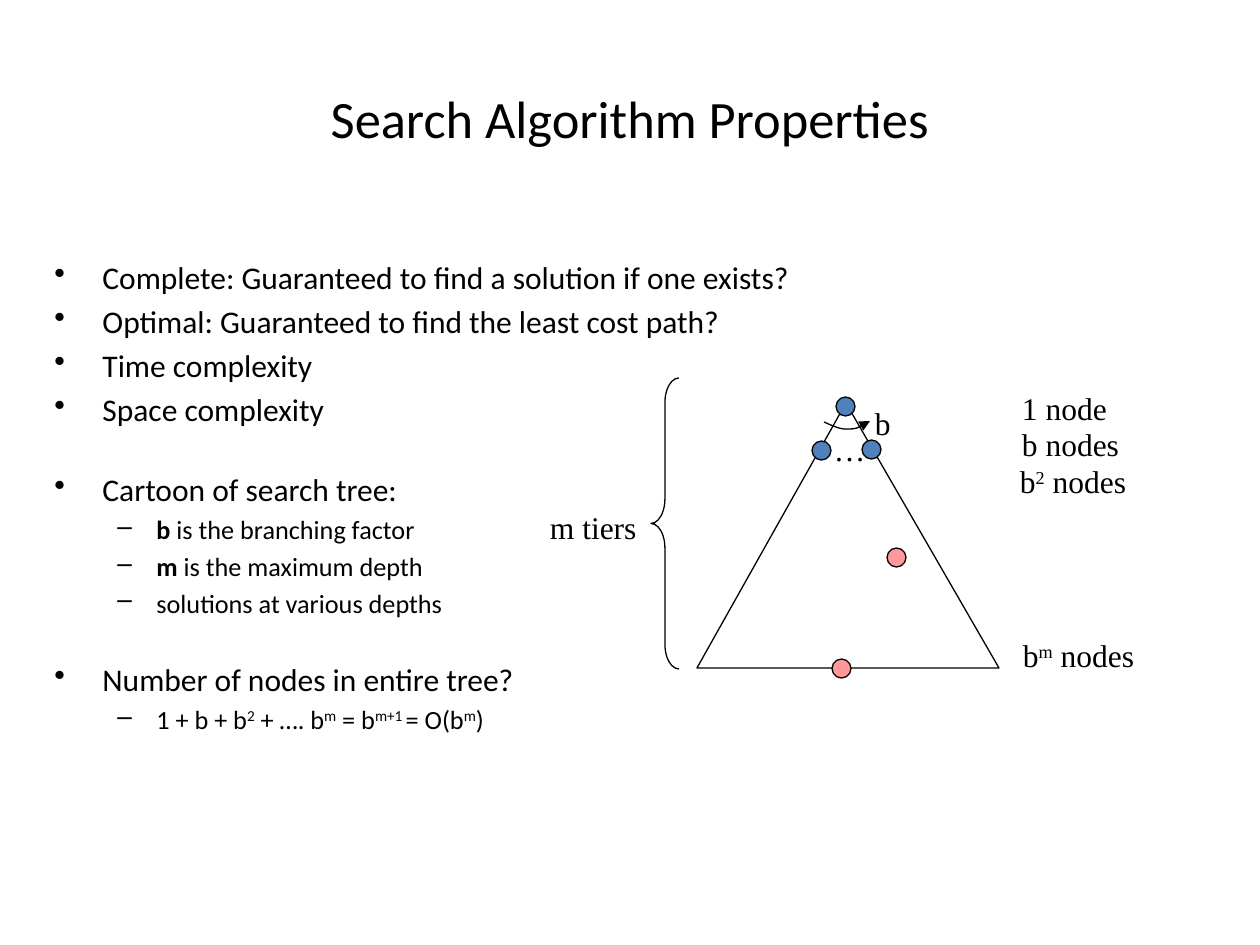
from dataclasses import dataclass
from typing import Any

from lxml.etree import SubElement
from pptx import Presentation
from pptx.dml.color import RGBColor
from pptx.enum.shapes import MSO_SHAPE as Preset
from pptx.enum.text import MSO_ANCHOR as Anchor, PP_ALIGN as Align
from pptx.oxml.ns import qn
from pptx.util import Emu, Pt

SCALE = 914400 / 126
BLACK = RGBColor(0, 0, 0)
BLUE = RGBColor(0x4F, 0x81, 0xBD)
PINK = RGBColor(0xFF, 0x99, 0x99)
LEVELS = [("•", 18, 48, 48), ("–", 15, 102, 39)]
SECTION_GAP = 24

OUTLINE = [
    (0, "Complete: Guaranteed to find a solution if one exists?", False),
    (0, "Optimal: Guaranteed to find the least cost path?", False),
    (0, "Time complexity", False),
    (0, "Space complexity", False),
    (0, "Cartoon of search tree:", True),
    (1, "*b* is the branching factor", False),
    (1, "*m* is the maximum depth", False),
    (1, "solutions at various depths", False),
    (0, "Number of nodes in entire tree?", True),
    (1, "1 + b + b^2^ + …. b^m^ = b^m+1 ^= O(b^m^)", False),
]
TREE_NODES = [(836, 397), (812, 441), (862, 440)]
SOLUTIONS = [(832, 659), (887, 548)]
LABELS = [
    ("…", 825, 425, 29),
    ("b", 866, 399, 30),
    ("1 node", 1013, 384, 184),
    ("b nodes", 1013, 420, 144),
    ("b^2^ nodes", 1011, 457, 163),
    ("b^m^ nodes", 1014, 631, 151),
    ("m tiers", 541, 503, 131),
]


def px(length):
    """Turn pixels into EMU."""
    return Emu(round(length * SCALE))


@dataclass
class SlideWriter:
    """Holds the style and the current slide."""

    slide: Any
    heading_font: str = "Calibri"
    label_font: str = "Times New Roman"
    stroke: float = 0.75

    def frame(self, x, y, width, height):
        """Add an empty wrapping text box and return its text frame."""
        box = self.slide.shapes.add_textbox(px(x), px(y), px(width), px(height))
        box.text_frame.word_wrap = True
        return box.text_frame

    def add_runs(self, paragraph, text, font, size):
        """Add text in which ^marks^ raise and *marks* embolden."""
        for i, part in enumerate(text.split("^")):
            for j, piece in enumerate(part.split("*")):
                if not piece:
                    continue
                run = paragraph.add_run()
                run.text = piece
                run.font.name = font
                run.font.size = Pt(size)
                run.font.bold = j % 2 == 1
                run.font.color.rgb = BLACK
                if i % 2:
                    run.font._element.set("baseline", "30000")

    def title(self, text, x, y, width, height):
        """Add the centred heading."""
        frame = self.frame(x, y, width, height)
        frame.vertical_anchor = Anchor.MIDDLE
        frame.paragraphs[0].alignment = Align.CENTER
        self.add_runs(frame.paragraphs[0], text, self.heading_font, 30)

    def outline(self, entries, x, y, width, height):
        """Add the two-level bulleted list."""
        frame = self.frame(x, y, width, height)
        for index, (level, text, opens_section) in enumerate(entries):
            paragraph = frame.add_paragraph() if index else frame.paragraphs[0]
            mark, size, indent, hanging = LEVELS[level]
            paragraph.level = level
            paragraph.space_before = Pt(SECTION_GAP if opens_section else size / 5)
            self.add_runs(paragraph, text, self.heading_font, size)
            properties = paragraph._p.get_or_add_pPr()
            properties.set("marL", str(px(indent)))
            properties.set("indent", str(px(-hanging)))
            SubElement(properties, qn("a:buChar"), char=mark)

    def label(self, text, x, y, width):
        """Add a one-line diagram label."""
        frame = self.frame(x, y, width, 48)
        frame.margin_left = frame.margin_right = px(9)
        frame.margin_top = frame.margin_bottom = px(5)
        self.add_runs(frame.paragraphs[0], text, self.label_font, 18)

    def finish(self, shape, fill=None):
        """Give a shape its outline and optional fill."""
        shape.shadow.inherit = False
        shape.line.color.rgb = BLACK
        shape.line.width = Pt(self.stroke)
        if fill is None:
            shape.fill.background()
        else:
            shape.fill.solid()
            shape.fill.fore_color.rgb = fill
        return shape

    def preset(self, kind, x, y, width, height, fill=None):
        """Add a preset shape."""
        shape = self.slide.shapes.add_shape(kind, px(x), px(y), px(width), px(height))
        return self.finish(shape, fill)

    def node(self, x, y, fill):
        """Add a round tree node."""
        self.preset(Preset.OVAL, x, y, 19, 19, fill)

    def freeform(self, points, close):
        """Add an outline through the points."""
        builder = self.slide.shapes.build_freeform(*points[0], scale=SCALE)
        builder.add_line_segments(points[1:], close=close)
        return self.finish(builder.convert_to_shape())

    def curved_arrow(self, points):
        """Add an arrow of cubic curves, three points to a curve."""
        arrow = self.freeform(points, close=False)
        segments = arrow._element.xpath(".//a:lnTo")
        for start in range(0, len(segments), 3):
            curve, *others = segments[start:start + 3]
            for other in others:
                curve.append(other[0])
                other.getparent().remove(other)
            curve.tag = qn("a:cubicBezTo")
        SubElement(arrow.line._get_or_add_ln(), qn("a:tailEnd"), type="triangle")


def main():
    """Build the search properties slide."""
    deck = Presentation()
    deck.slide_width, deck.slide_height = px(1260), px(945)
    writer = SlideWriter(deck.slides.add_slide(deck.slide_layouts[6]))

    writer.title("Search Algorithm Properties", 63, 38, 1134, 158)
    writer.outline(OUTLINE, 42, 252, 1176, 489)

    writer.freeform([(697, 668), (999, 668), (846, 403)], close=True)
    for x, y in TREE_NODES:
        writer.node(x, y, BLUE)
    writer.curved_arrow([(824, 422), (833, 426), (841, 430), (849, 429),
                         (857, 429), (863, 425), (870, 421)])
    for label in LABELS:
        writer.label(*label)
    for x, y in SOLUTIONS:
        writer.node(x, y, PINK)
    brace = writer.preset(Preset.LEFT_BRACE, 651, 378, 28, 291)
    brace.adjustments[0] = 0.88

    deck.save("out.pptx")


if __name__ == "__main__":
    main()
